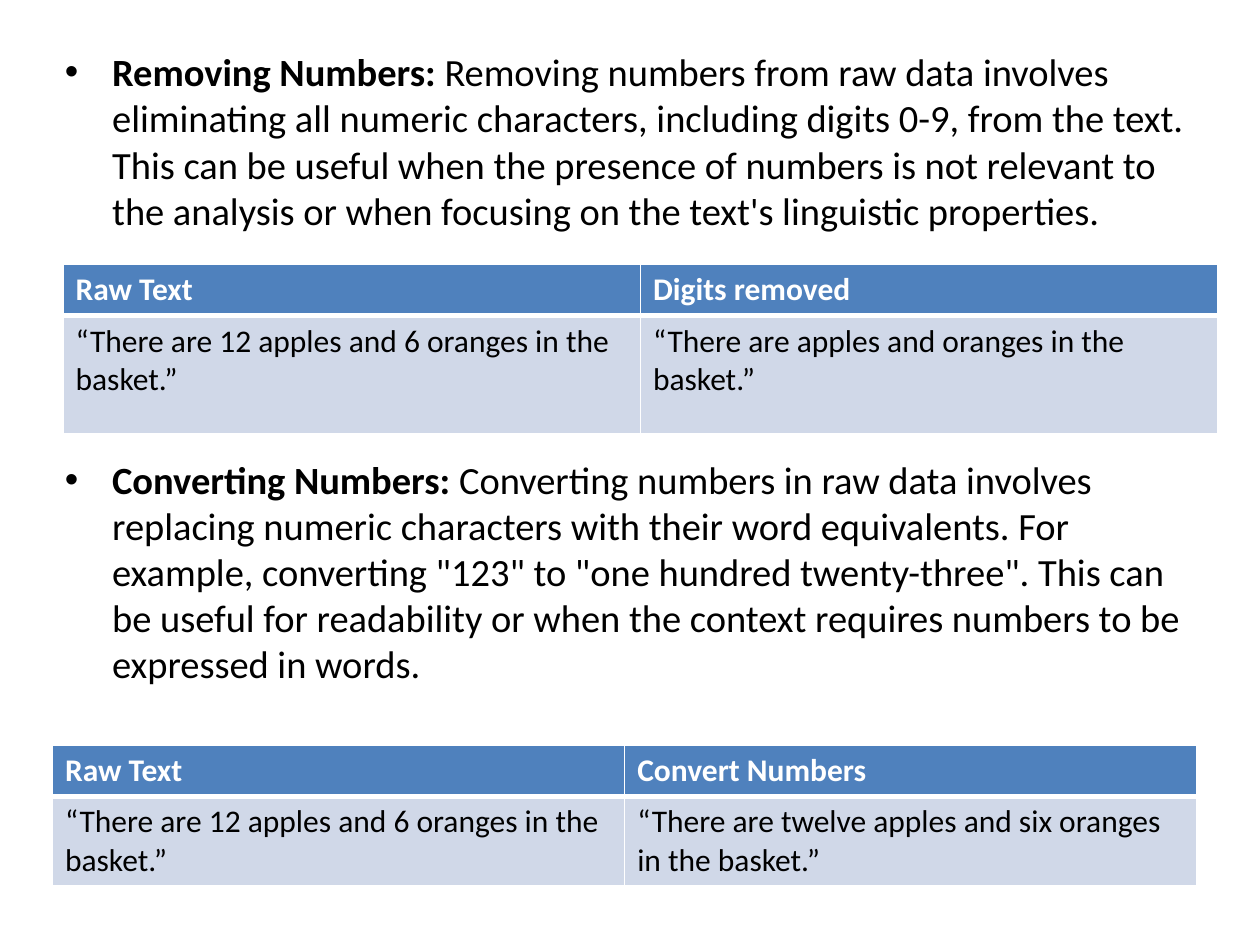
import pptx
import pptx.dml.color
import pptx.oxml
import pptx.oxml.ns
import pptx.util
from pptx.util import Pt

BLACK, WHITE = "000000", "FFFFFF"
HEADER_FILL, BODY_FILL = "4F81BD", "D0D8E8"


def colour(hex_string):
    return pptx.dml.color.RGBColor.from_string(hex_string)


class SlideBuilder:
    font = "Calibri"

    def __init__(self, deck):
        self.page = deck.slides.add_slide(deck.slide_layouts[6])

    def add_span(self, para, text, size, ink, bold=False):
        span = para.add_run()
        span.text = text
        span.font.name = self.font
        span.font.size = Pt(size)
        span.font.bold = bold
        span.font.color.rgb = colour(ink)

    def add_bullets(self, left, top, width, height, items, size, indent, gap):
        box = self.page.shapes.add_textbox(Pt(left), Pt(top), Pt(width), Pt(height))
        frame = box.text_frame
        frame.word_wrap = True
        for index, (title, body) in enumerate(items):
            para = frame.paragraphs[0] if index == 0 else frame.add_paragraph()
            para.space_before = Pt(gap if index else 0)
            # Hanging bullet
            properties = para._p.get_or_add_pPr()
            properties.set("marL", str(Pt(indent)))
            properties.set("indent", str(-Pt(indent)))
            namespace = pptx.oxml.ns.nsdecls("a")
            properties.append(pptx.oxml.parse_xml(f'<a:buFont {namespace} typeface="Arial"/>'))
            properties.append(pptx.oxml.parse_xml(f'<a:buChar {namespace} char="•"/>'))
            self.add_span(para, title, size, BLACK, bold=True)
            self.add_span(para, body, size, BLACK)

    def add_borders(self, cell, bottom):
        properties = cell._tc.get_or_add_tcPr()
        for side, weight in (("L", 1), ("R", 1), ("T", 1), ("B", bottom)):
            properties.append(pptx.oxml.parse_xml(
                f'<a:ln{side} {pptx.oxml.ns.nsdecls("a")} w="{Pt(weight)}">'
                f'<a:solidFill><a:srgbClr val="{WHITE}"/></a:solidFill></a:ln{side}>'))

    def add_table(self, left, top, column_width, row_heights, rows, size=18):
        columns = len(rows[0])
        table = self.page.shapes.add_table(
            len(rows), columns, Pt(left), Pt(top),
            Pt(column_width * columns), Pt(sum(row_heights))).table
        table.horz_banding = False
        for column in table.columns:
            column.width = Pt(column_width)
        for index, (texts, height) in enumerate(zip(rows, row_heights)):
            is_header = index == 0
            table.rows[index].height = Pt(height)
            for cell, text in zip(table.rows[index].cells, texts):
                self.add_borders(cell, bottom=3 if is_header else 1)
                cell.fill.solid()
                cell.fill.fore_color.rgb = colour(HEADER_FILL if is_header else BODY_FILL)
                self.add_span(cell.text_frame.paragraphs[0], text, size,
                              WHITE if is_header else BLACK, bold=is_header)


def main():
    deck = pptx.Presentation()
    deck.slide_width, deck.slide_height = Pt(720), Pt(540)
    slide = SlideBuilder(deck)

    # Explanations, with room for the first table between them
    slide.add_bullets(30, 24, 666, 486, [
        ("Removing Numbers:",
         " Removing numbers from raw data involves eliminating all numeric characters, "
         "including digits 0-9, from the text. This can be useful when the presence of "
         "numbers is not relevant to the analysis or when focusing on the text's "
         "linguistic properties."),
        ("Converting Numbers:",
         " Converting numbers in raw data involves replacing numeric characters with "
         'their word equivalents. For example, converting "123" to "one hundred '
         'twenty-three". This can be useful for readability or when the context '
         "requires numbers to be expressed in words."),
    ], size=22, indent=27, gap=127.3)

    # Example tables
    raw_text = "“There are 12 apples and 6 oranges in the basket.”"
    slide.add_table(36, 151.2, 330, (29.2, 67.4), [
        ("Raw Text", "Digits removed"),
        (raw_text, "“There are apples and oranges in the basket.”"),
    ])
    slide.add_table(30, 426, 327, (29.2, 50.7), [
        ("Raw Text", "Convert Numbers"),
        (raw_text, "“There are twelve apples and six oranges in the basket.”"),
    ])

    deck.save("out.pptx")


if __name__ == "__main__":
    main()
